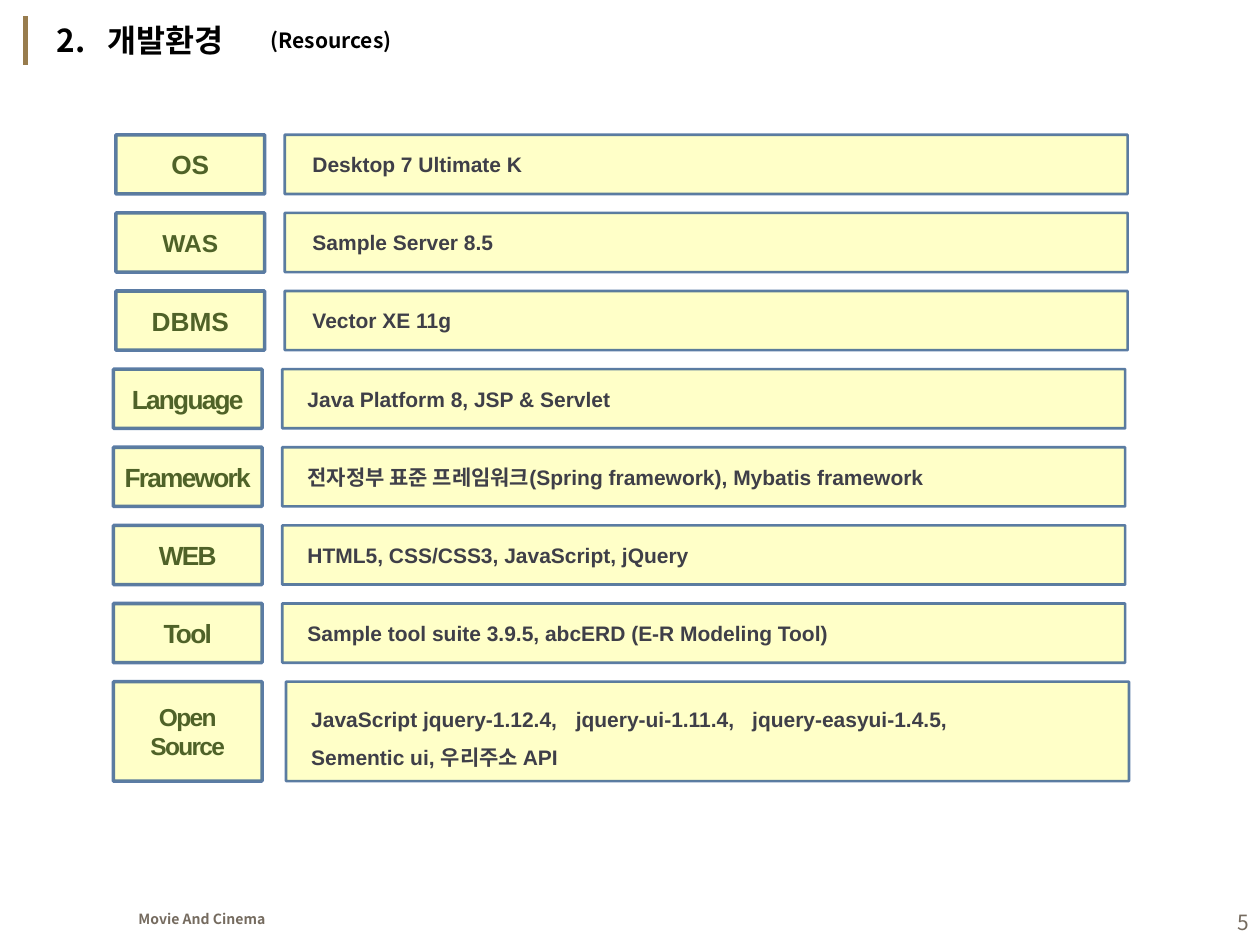
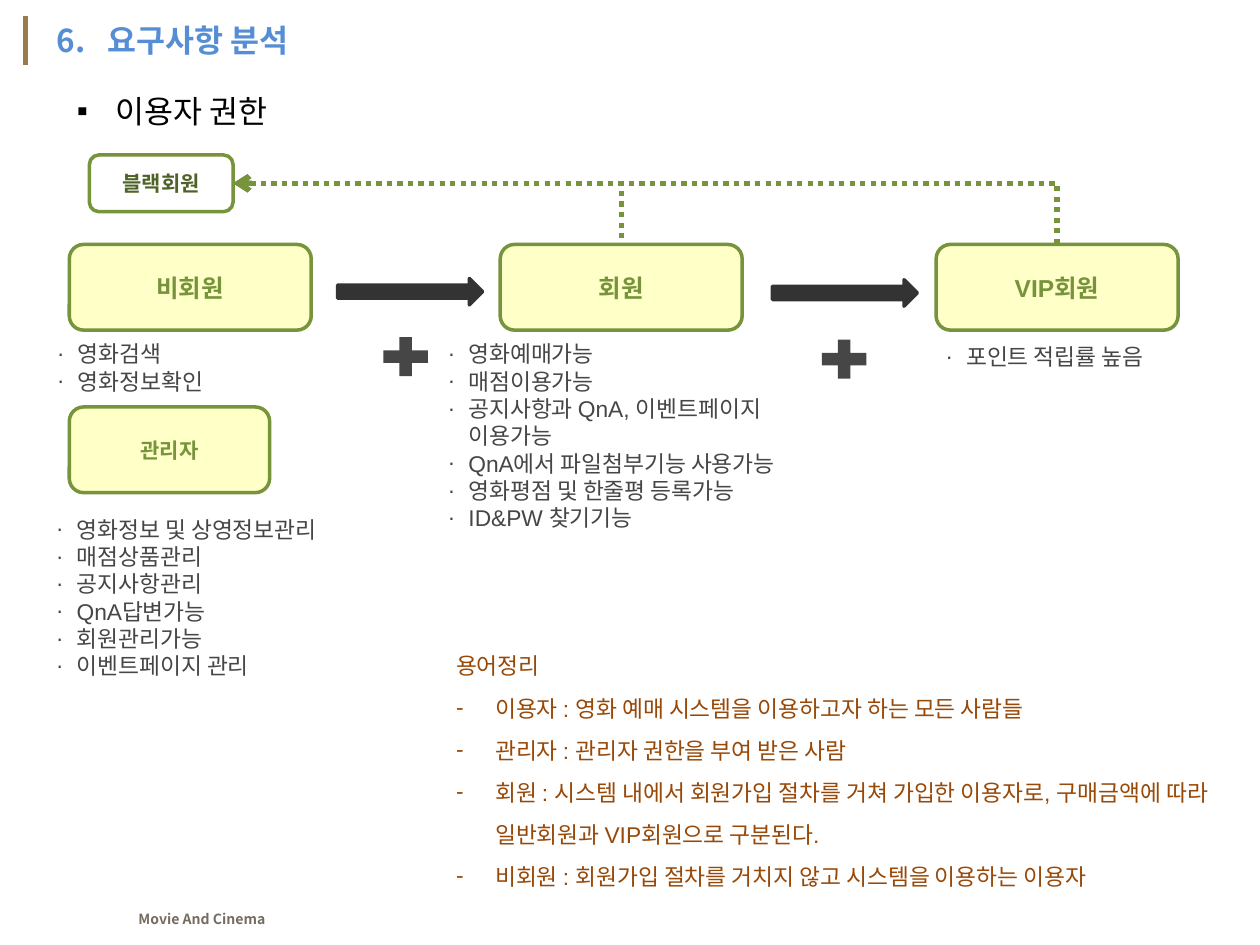
from dataclasses import dataclass

import pptx
import pptx.dml.color
import pptx.enum.dml
import pptx.enum.shapes
import pptx.enum.text
import pptx.oxml.ns
import pptx.util
from lxml import etree

Inches, Pt = pptx.util.Inches, pptx.util.Pt
SHAPE = pptx.enum.shapes.MSO_SHAPE
CONNECTOR = pptx.enum.shapes.MSO_CONNECTOR
ALIGN = pptx.enum.text.PP_ALIGN
ANCHOR = pptx.enum.text.MSO_ANCHOR
qn = pptx.oxml.ns.qn

# Shared look
SANS, KOREAN = "Arial", "Noto Sans CJK KR"
CREAM, BLUE, GREEN, OLIVE = "FFFFC8", "376092", "77933C", "4F6228"
BLACK, GRAY, INK, TAUPE = "000000", "464646", "3F3F48", "756B5F"
BROWN, BAR, TITLE_BLUE, CHARCOAL = "984807", "987C4D", "558ED5", "333333"


@dataclass
class Style:
    size: float
    color: str
    font: str = SANS
    bold: bool = False
    spacing: int = 0
    align: ALIGN = ALIGN.LEFT
    line_spacing: float | pptx.util.Length = 1.0


@dataclass
class Row:
    label: str
    value: list[str]
    left: float = 0.9
    value_left: float = 2.24
    inset: float = 0.2
    size: float = 15
    spacing: int = -100
    height: float = 0.47


@dataclass
class Card:
    text: str
    left: float
    top: float
    width: float = 1.92
    size: float = 14


@dataclass
class Rights:
    left: float
    top: float
    width: float
    items: list[str]


def rgb(color: str) -> pptx.dml.color.RGBColor:
    return pptx.dml.color.RGBColor.from_string(color)


def apply(obj, formats: dict) -> None:
    for name, value in formats.items():
        setattr(obj, name, value)


def sub(parent, tag: str, **attrs: str):
    return etree.SubElement(parent, qn(tag), attrs)


def place(sp, left: float, top: float, width: float, height: float) -> None:
    apply(sp, dict(left=Inches(left), top=Inches(top),
                   width=Inches(width), height=Inches(height)))


def write(sp, lines: list[str], style: Style, anchor=ANCHOR.TOP,
          inset: float = 0.1) -> None:
    tf = sp.text_frame
    apply(tf, dict(word_wrap=True, auto_size=pptx.enum.text.MSO_AUTO_SIZE.NONE,
                   vertical_anchor=anchor, margin_left=Inches(inset),
                   margin_right=Inches(min(inset, 0.1)),
                   margin_top=Inches(0.05), margin_bottom=Inches(0.05)))
    for i, line in enumerate(lines):
        p = tf.paragraphs[0] if i == 0 else tf.add_paragraph()
        apply(p, dict(alignment=style.align, line_spacing=style.line_spacing,
                      space_before=Pt(0)))
        r = p.add_run()
        r.text = line
        apply(r.font, dict(size=Pt(style.size), bold=style.bold, name=style.font))
        r.font.color.rgb = rgb(style.color)
        rPr = r.font._element
        sub(rPr, "a:ea", typeface=KOREAN)
        if style.spacing:
            rPr.set("spc", str(style.spacing))


def indent(p, hang: float, bullet: str = "") -> None:
    """Hang a paragraph, with a bullet or with none."""
    pPr = p._p.get_or_add_pPr()
    pPr.set("marL", str(Inches(hang)))
    pPr.set("indent", str(-Inches(hang)))
    if bullet:
        sub(pPr, "a:buFont", typeface=SANS)
        sub(pPr, "a:buChar", char=bullet)
    else:
        sub(pPr, "a:buNone")


def add_text(s, box: tuple, lines: list[str], style: Style, anchor=ANCHOR.TOP):
    sp = s.shapes.add_textbox(*map(Inches, box))
    write(sp, lines, style, anchor)
    return sp


def add_box(s, kind, box: tuple, fill: str = "", line: str = "",
            width: float = 2, alpha: int = 100):
    sp = s.shapes.add_shape(kind, *map(Inches, box))
    sp.shadow.inherit = False
    if fill:
        sp.fill.solid()
        sp.fill.fore_color.rgb = rgb(fill)
    else:
        sp.fill.background()
    if line:
        sp.line.color.rgb = rgb(line)
        sp.line.width = Pt(width)
        if alpha < 100:
            color = sp.line._ln.find(".//" + qn("a:srgbClr"))
            sub(color, "a:alpha", val=str(alpha * 1000))
    else:
        sp.line.fill.background()
    return sp


def add_line(s, kind, start: tuple, end: tuple, color: str):
    line = s.shapes.add_connector(kind, *map(Inches, start + end))
    line.line.color.rgb = rgb(color)
    line.line.width = Pt(3)
    sub(line._element.spPr, "a:effectLst")
    return line


def add_slide(prs, layout: int, number: int, title: str, color: str):
    s = prs.slides.add_slide(prs.slide_layouts[layout])
    add_line(s, CONNECTOR.STRAIGHT, (0.2, 0.13), (0.2, 0.52), BAR)
    add_text(s, (1, 7.18, 1.3, 0.24), ["Movie And Cinema"],
             Style(8, TAUPE, KOREAN, True))
    sp = s.shapes.title
    place(sp, 0.35, 0.12, 2.44, 0.4)
    write(sp, [f"{number}.\t{title}"], Style(18, color, KOREAN, True))
    indent(sp.text_frame.paragraphs[0], 0.4)
    return s


# Development environment
FIRST = dict(left=0.92, value_left=2.26, inset=0.22, spacing=0)
ROWS = [
    Row("OS", ["Desktop 7 Ultimate K"], **FIRST),
    Row("WAS", ["Sample Server 8.5"], size=14, **FIRST),
    Row("DBMS", ["Vector XE 11g"], **FIRST),
    Row("Language", ["Java Platform 8, JSP & Servlet"]),
    Row("Framework",
        ["전자정부 표준 프레임워크(Spring framework), Mybatis framework"]),
    Row("WEB", ["HTML5, CSS/CSS3, JavaScript, jQuery"]),
    Row("Tool", ["Sample tool suite 3.9.5, abcERD (E-R Modeling Tool)"]),
    Row("Open\nSource",
        ["JavaScript jquery-1.12.4,\tjquery-ui-1.11.4,\tjquery-easyui-1.4.5,",
         "Sementic ui, 우리주소 API"],
        value_left=2.27, size=14, height=0.79),
]
ROW_TOP, ROW_STEP = 1.07, 0.62
LIBRARY_TABS = (2.1, 3.5)


def add_row(s, row: Row, top: float) -> None:
    label = add_box(s, SHAPE.RECTANGLE, (row.left, top, 1.18, row.height),
                    CREAM, BLUE, 2, 82)
    write(label, row.label.split("\n"),
          Style(row.size, OLIVE, bold=True, spacing=row.spacing,
                align=ALIGN.CENTER), ANCHOR.MIDDLE, 0)
    value = add_box(s, SHAPE.RECTANGLE, (row.value_left, top, 6.69, row.height),
                    CREAM, BLUE, 1.5, 82)
    spacing = 1.5 if len(row.value) > 1 else 1.0
    write(value, row.value, Style(12, INK, bold=True, line_spacing=spacing),
          ANCHOR.MIDDLE, row.inset)
    for p in value.text_frame.paragraphs:
        if "\t" in p.text:
            tabs = sub(p._p.get_or_add_pPr(), "a:tabLst")
            for stop in LIBRARY_TABS:
                sub(tabs, "a:tab", pos=str(Inches(stop)), algn="l")


def resources_slide(prs) -> None:
    s = add_slide(prs, 5, 2, "개발환경", BLACK)
    add_text(s, (2.05, 0.17, 2.36, 0.3), ["(Resources)"],
             Style(12, BLACK, KOREAN, True))
    for i, row in enumerate(ROWS):
        add_row(s, row, ROW_TOP + i * ROW_STEP)
    add_text(s, (7.68, 7.12, 2.33, 0.4), ["5"],
             Style(12, TAUPE, KOREAN, align=ALIGN.RIGHT), ANCHOR.MIDDLE)


# Requirements analysis
GUEST = Card("비회원", 0.55, 1.94)
MEMBER = Card("회원", 3.97, 1.94)
VIP = Card("VIP회원", 7.43, 1.94)
ADMIN = Card("관리자", 0.55, 3.23, 1.59, 12)
RIGHTS = [
    Rights(0.36, 2.65, 2.51, ["영화검색", "영화정보확인"]),
    Rights(3.46, 2.65, 3.01,
           ["영화예매가능", "매점이용가능", "공지사항과 QnA, 이벤트페이지 이용가능",
            "QnA에서 파일첨부기능 사용가능", "영화평점 및 한줄평 등록가능",
            "ID&PW 찾기기능"]),
    Rights(7.41, 2.67, 1.91, ["포인트 적립률 높음"]),
    Rights(0.35, 4.04, 3.01,
           ["영화정보 및 상영정보관리", "매점상품관리", "공지사항관리",
            "QnA답변가능", "회원관리가능", "이벤트페이지 관리"]),
]
GLOSSARY = [
    "용어정리",
    "이용자 : 영화 예매 시스템을 이용하고자 하는 모든 사람들",
    "관리자 : 관리자 권한을 부여 받은 사람",
    "회원 : 시스템 내에서 회원가입 절차를 거쳐 가입한 이용자로, "
    "구매금액에 따라 일반회원과 VIP회원으로 구분된다.",
    "비회원 : 회원가입 절차를 거치지 않고 시스템을 이용하는 이용자",
]


def add_card(s, card: Card):
    sp = add_box(s, SHAPE.ROUNDED_RECTANGLE,
                 (card.left, card.top, card.width, 0.68), CREAM, GREEN)
    write(sp, [card.text], Style(card.size, GREEN, bold=True, align=ALIGN.CENTER),
          ANCHOR.MIDDLE)
    return sp


def add_demotion(s, blacklist, card) -> None:
    """Dotted elbow from a member card back to the blacklist."""
    line = add_line(s, CONNECTOR.ELBOW, (1.85, 1.45), (4.93, 1.94), GREEN)
    line._element.spPr.find(qn("a:prstGeom")).set("prst", "bentConnector2")
    line.begin_connect(blacklist, 3)
    line.end_connect(card, 0)
    line.line.dash_style = pptx.enum.dml.MSO_LINE.ROUND_DOT
    sub(line.line._ln, "a:headEnd", type="arrow")


def requirements_slide(prs) -> None:
    s = add_slide(prs, 3, 6, "요구사항 분석", TITLE_BLUE)
    heading, glossary = s.placeholders[1], s.placeholders[2]
    place(heading, 0.51, 0.68, 2, 0.4)
    write(heading, ["이용자 권한"], Style(18, BLACK, KOREAN))
    indent(heading.text_frame.paragraphs[0], 0.31, "▪")
    place(glossary, 3.52, 5.01, 6.37, 2.08)
    write(glossary, GLOSSARY, Style(13, BROWN, line_spacing=Pt(24)))
    for i, p in enumerate(glossary.text_frame.paragraphs):
        indent(p, 0.31 if i else 0, "-" if i else "")

    # User grades and the way to the blacklist
    blacklist = add_box(s, SHAPE.ROUNDED_RECTANGLE, (0.71, 1.23, 1.14, 0.45),
                        line=GREEN)
    write(blacklist, ["블랙회원"], Style(12, OLIVE, bold=True, align=ALIGN.CENTER),
          ANCHOR.MIDDLE)
    for card in (GUEST, ADMIN):
        add_card(s, card)
    for card in (MEMBER, VIP):
        add_demotion(s, blacklist, add_card(s, card))

    # Steps up, each adding rights
    for arrow, plus in (((2.68, 2.21), (2.98, 2.62)), ((6.13, 2.22), (6.46, 2.64))):
        add_box(s, SHAPE.RIGHT_ARROW, (*arrow, 1.15, 0.21), CHARCOAL, CHARCOAL)
        add_box(s, SHAPE.MATH_PLUS, (*plus, 0.48, 0.42), GRAY)
    for rights in RIGHTS:
        height = 0.1 + 0.22 * len(rights.items)
        sp = add_text(s, (rights.left, rights.top, rights.width, height),
                      rights.items, Style(13, GRAY))
        for p in sp.text_frame.paragraphs:
            indent(p, 0.16, "∙")


def main() -> None:
    prs = pptx.Presentation()
    prs.slide_width, prs.slide_height = Inches(10), Inches(7.5)
    resources_slide(prs)
    requirements_slide(prs)
    prs.save("out.pptx")


if __name__ == "__main__":
    main()
